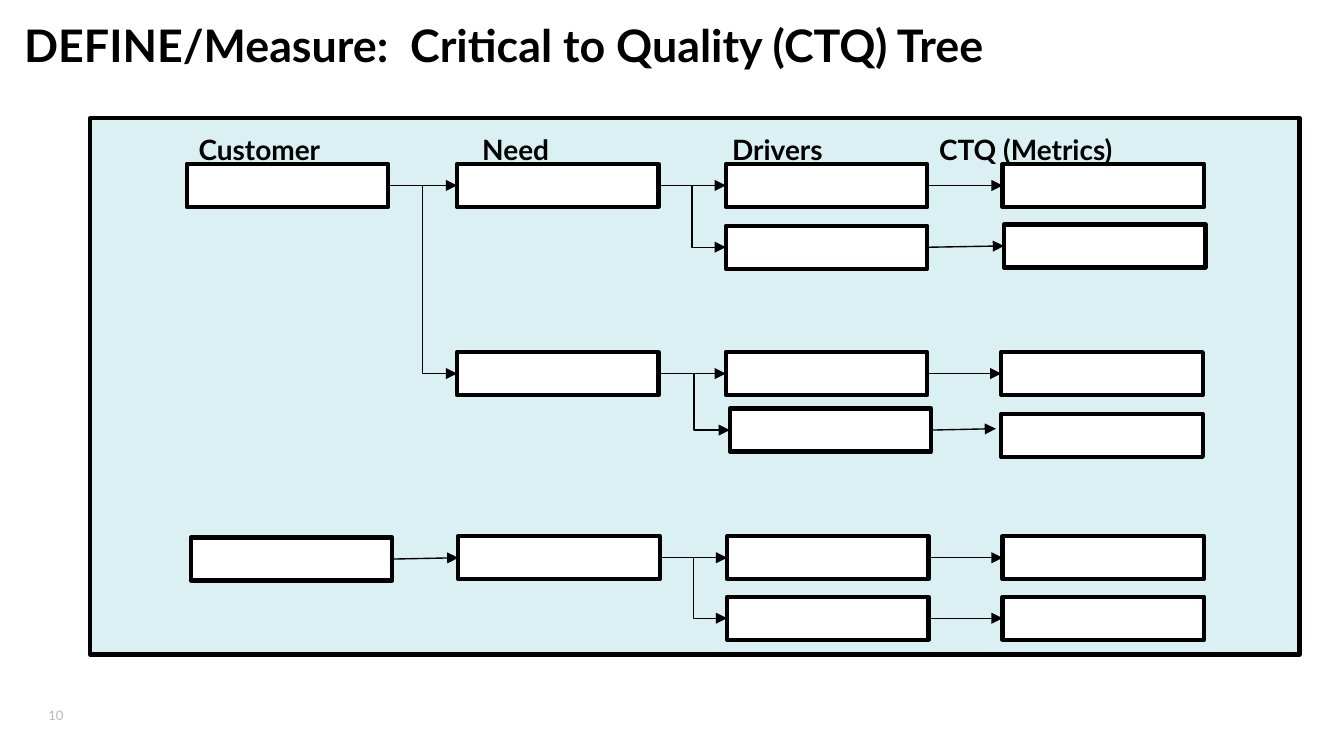
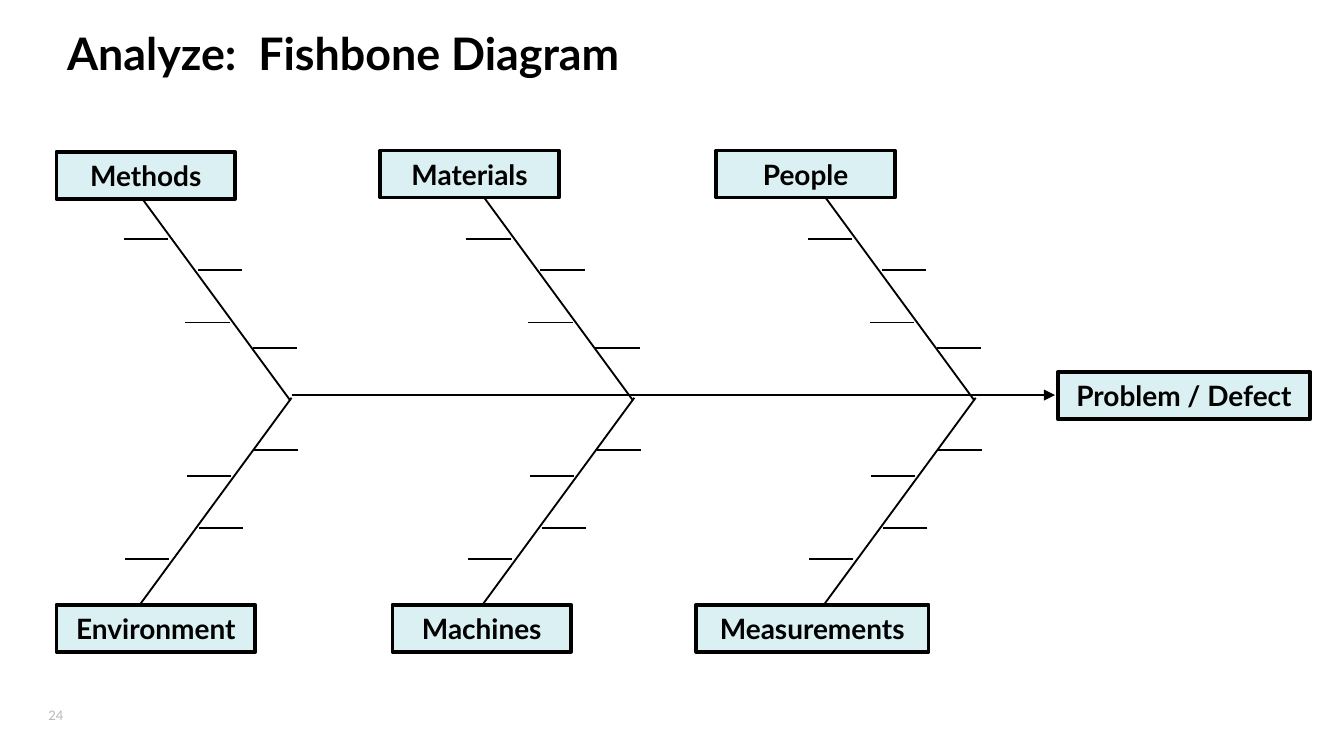
import pptx
import pptx.dml.color
import pptx.enum.shapes
import pptx.enum.text
import pptx.oxml.ns
import pptx.util
from lxml import etree

Inches = pptx.util.Inches
Pt = pptx.util.Pt
ALIGN = pptx.enum.text.PP_ALIGN
ANCHOR = pptx.enum.text.MSO_ANCHOR
CONNECTOR = pptx.enum.shapes.MSO_CONNECTOR

FONT = "Lato"
BLACK = "000000"
WHITE = "FFFFFF"
PALE_BLUE = "DBF0F3"
GREY = "B9B8BB"

SLIDE_WIDTH = 10
BOX_WIDTH, BOX_HEIGHT = 1.5, 0.32
LABEL_HEIGHT = 0.35
RIGHT_SITE, LEFT_SITE = 3, 1

TREE_HEADINGS = ["Customer", "Need", "Drivers", "CTQ (Metrics)"]
HEADING_TABS = [2.11, 3.97, 5.51]
TREE_BOXES = {
    "customer 1": (1.39, 1.22),
    "need 1": (3.4, 1.22),
    "driver 1": (5.4, 1.22),
    "metric 1": (7.46, 1.22),
    "driver 2": (5.4, 1.68),
    "metric 2": (7.47, 1.67),
    "need 2": (3.4, 2.62),
    "driver 3": (5.4, 2.62),
    "metric 3": (7.45, 2.62),
    "driver 4": (5.43, 3.04),
    "metric 4": (7.45, 3.08),
    "customer 2": (1.42, 4),
    "need 3": (3.41, 3.99),
    "driver 5": (5.41, 3.99),
    "metric 5": (7.46, 3.99),
    "driver 6": (5.41, 4.44),
    "metric 6": (7.46, 4.44),
}
TREE_BRANCHES = {
    "customer 1": ["need 1", "need 2"],
    "customer 2": ["need 3"],
    "need 1": ["driver 1", "driver 2"],
    "need 2": ["driver 3", "driver 4"],
    "need 3": ["driver 5", "driver 6"],
    **{f"driver {number}": [f"metric {number}"] for number in (1, 2, 3, 5, 6)},
}

CAUSES = [
    ("Methods", 0.42, 1.13, 1.33),
    ("Materials", 2.83, 1.12, 1.33),
    ("People", 5.33, 1.12, 1.33),
    ("Environment", 0.42, 4.5, 1.48),
    ("Machines", 2.92, 4.5, 1.33),
    ("Measurements", 5.18, 4.5, 1.73),
]
BONE_LEFTS = [1.03, 3.58, 6.12]
BONE_RUN, BONE_RISE = 1.13, 1.54
TWIG_LENGTH = 0.33
TWIG_OFFSETS = [(-0.11, 0.34), (0.44, 0.57), (0.35, 0.96), (0.85, 1.15)]


def color(hex_value):
    return pptx.dml.color.RGBColor.from_string(hex_value)


def write(shape, text, size, hex_color=BLACK, bold=True, align=ALIGN.LEFT,
          anchor=ANCHOR.TOP, insets=(0.1, 0.05, 0.1, 0.05), wrap=True):
    frame = shape.text_frame
    frame.word_wrap = wrap
    frame.vertical_anchor = anchor
    frame.margin_left, frame.margin_top, frame.margin_right, frame.margin_bottom = map(Inches, insets)
    paragraph = frame.paragraphs[0]
    paragraph.text = text
    paragraph.alignment = align
    paragraph.font.name = FONT
    paragraph.font.size = Pt(size)
    paragraph.font.bold = bold
    paragraph.font.color.rgb = color(hex_color)
    return paragraph


def add_text(slide, text, left, top, width, height, size, **style):
    shape = slide.shapes.add_textbox(Inches(left), Inches(top), Inches(width), Inches(height))
    return write(shape, text, size, **style)


def set_tabs(paragraph, positions):
    tabs = etree.Element(pptx.oxml.ns.qn("a:tabLst"))
    for position in positions:
        etree.SubElement(tabs, pptx.oxml.ns.qn("a:tab"), pos=str(Inches(position)), algn="l")
    paragraph._p.get_or_add_pPr().insert(0, tabs)


def add_box(slide, left, top, width, height, fill, line_width=2.25):
    shape = slide.shapes.add_shape(
        pptx.enum.shapes.MSO_SHAPE.RECTANGLE,
        Inches(left), Inches(top), Inches(width), Inches(height))
    shape.shadow.inherit = False
    shape.fill.solid()
    shape.fill.fore_color.rgb = color(fill)
    shape.line.color.rgb = color(BLACK)
    shape.line.width = Pt(line_width)
    return shape


def add_label(slide, text, left, top, width):
    shape = add_box(slide, left, top, width, LABEL_HEIGHT, PALE_BLUE, 2)
    write(shape, text, 15, align=ALIGN.CENTER, anchor=ANCHOR.MIDDLE)


def add_line(shapes, start, end, width=1, arrow=False, kind=CONNECTOR.STRAIGHT):
    connector = shapes.add_connector(kind, *map(Inches, (*start, *end)))
    connector.line.color.rgb = color(BLACK)
    connector.line.width = Pt(width)
    if arrow:
        line = connector.line._get_or_add_ln()
        etree.SubElement(line, pptx.oxml.ns.qn("a:tailEnd"), type="triangle")
    etree.SubElement(connector._element.spPr, pptx.oxml.ns.qn("a:effectLst"))
    return connector


def start_slide(presentation, title, left, top, height, number):
    slide = presentation.slides.add_slide(presentation.slide_layouts[6])
    slide.background.fill.solid()
    slide.background.fill.fore_color.rgb = color(WHITE)
    add_text(slide, number, 0.36, 5.24, 0.35, 0.16, 7, hex_color=GREY, bold=False,
             anchor=ANCHOR.MIDDLE, insets=(0, 0.05, 0.1, 0.05), wrap=False)
    add_text(slide, title, left, top, 9, height, 24, insets=(0, 0, 0, 0))
    return slide


def link_boxes(slide, parent, child, is_first):
    kind = CONNECTOR.STRAIGHT if is_first else CONNECTOR.ELBOW
    connector = add_line(slide.shapes, (0, 0), (1, 1), 0.75, True, kind)
    connector.begin_connect(parent, RIGHT_SITE)
    connector.end_connect(child, LEFT_SITE)


def add_bone(slide, left, outer, direction):
    shapes = slide.shapes.add_group_shape().shapes
    add_line(shapes, (left, outer), (left + BONE_RUN, outer + direction * BONE_RISE))
    for across, along in TWIG_OFFSETS:
        twig_left = left + across
        twig_top = outer + direction * along
        add_line(shapes, (twig_left + TWIG_LENGTH, twig_top), (twig_left, twig_top))


def build_tree(presentation):
    slide = start_slide(presentation, "DEFINE/Measure:  Critical to Quality (CTQ) Tree",
                        0.18, 0.13, 0.36, "10")
    add_box(slide, 0.67, 0.88, 9, 3.99, PALE_BLUE)
    boxes = {name: add_box(slide, left, top, BOX_WIDTH, BOX_HEIGHT, WHITE)
             for name, (left, top) in TREE_BOXES.items()}
    for parent, children in TREE_BRANCHES.items():
        for child in children:
            link_boxes(slide, boxes[parent], boxes[child], child == children[0])
    add_line(slide.shapes, (6.93, 3.2), (7.41, 3.19), 0.75, True)
    headings = add_text(slide, "\t".join(TREE_HEADINGS), 1.38, 0.94, 8.7, 0.35, 15)
    set_tabs(headings, HEADING_TABS)


def build_fishbone(presentation):
    slide = start_slide(presentation, "Analyze:  Fishbone Diagram", 0.5, 0.19, 0.79, "24")
    add_label(slide, "Problem / Defect", 7.87, 2.77, 1.88)
    for left in BONE_LEFTS:
        add_bone(slide, left, 1.44, 1)
        add_bone(slide, left + 0.01, 4.5, -1)
    add_line(slide.shapes, (2.17, 2.94), (7.85, 2.94), arrow=True)
    for cause in CAUSES:
        add_label(slide, *cause)


def main():
    presentation = pptx.Presentation()
    presentation.slide_width = Inches(SLIDE_WIDTH)
    presentation.slide_height = Inches(SLIDE_WIDTH * 9 / 16)
    build_tree(presentation)
    build_fishbone(presentation)
    presentation.save("out.pptx")


if __name__ == "__main__":
    main()
